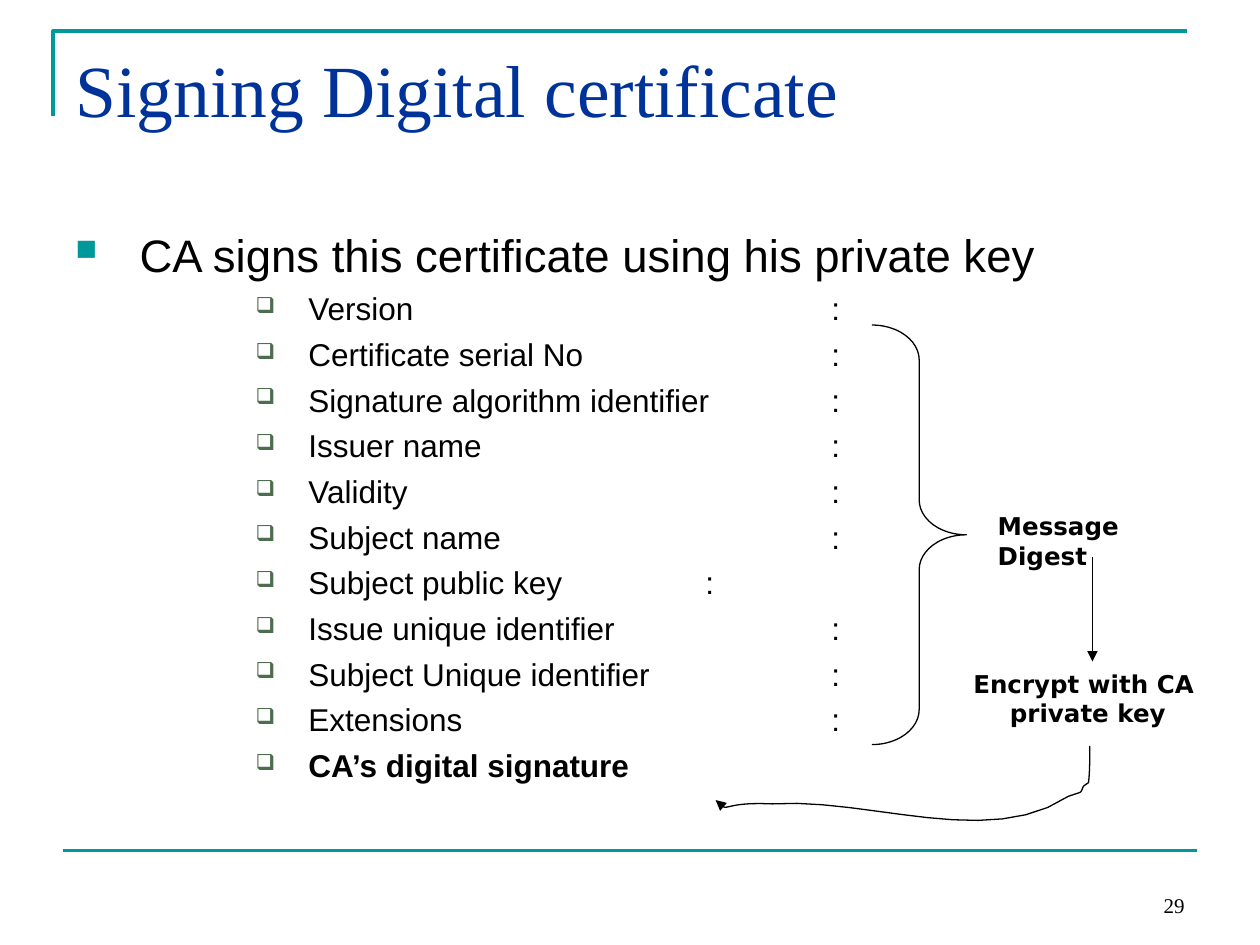
from dataclasses import dataclass
from typing import NamedTuple

from lxml.etree import SubElement
from pptx import Presentation
from pptx.dml.color import RGBColor
from pptx.enum.shapes import MSO_CONNECTOR, MSO_SHAPE
from pptx.enum.text import MSO_ANCHOR, PP_ALIGN
from pptx.oxml.ns import qn
from pptx.util import Inches, Pt


@dataclass(frozen=True)
class Theme:
    teal: str = "009999"
    navy: str = "003399"
    moss: str = "4C6D4E"
    black: str = "000000"
    serif: str = "Times New Roman"
    sans: str = "Arial"
    label: str = "DejaVu Sans"
    title: int = 42
    lead: int = 26
    item: int = 18
    note: int = 14
    page: int = 12
    rule: float = 2.25
    thin: float = 0.75


THEME = Theme()


class Bullet(NamedTuple):
    char: str
    color: str
    size: int
    left: float
    hang: float
    tab: int


class Line(NamedTuple):
    text: str
    size: int
    font: str
    color: str = THEME.black
    bold: bool = False
    align: PP_ALIGN = PP_ALIGN.LEFT
    level: int = 0
    before: float = 0
    bullet: Bullet | None = None


def assign(obj, values: dict) -> None:
    for name, value in values.items():
        setattr(obj, name, value)


def mark(para, bullet: Bullet) -> None:
    """Add the bullet, its hanging indent and one-inch tab stops."""
    props = para._p.get_or_add_pPr()
    props.set("marL", str(Inches(bullet.left)))
    props.set("indent", str(Inches(-bullet.hang)))
    color = SubElement(props, qn("a:buClr"))
    SubElement(color, qn("a:srgbClr"), val=bullet.color)
    SubElement(props, qn("a:buSzPct"), val=str(bullet.size * 1000))
    SubElement(props, qn("a:buChar"), char=bullet.char)
    tabs = SubElement(props, qn("a:tabLst"))
    for stop in range(bullet.tab, bullet.tab + 8):
        SubElement(tabs, qn("a:tab"), pos=str(Inches(stop)), algn="l")


def write(slide, box: tuple, lines: list[Line], anchor=MSO_ANCHOR.TOP) -> None:
    frame = slide.shapes.add_textbox(*map(Inches, box)).text_frame
    assign(frame, {"word_wrap": True, "vertical_anchor": anchor})
    for index, line in enumerate(lines):
        para = frame.add_paragraph() if index else frame.paragraphs[0]
        if line.bullet:
            mark(para, line.bullet)
        assign(para, {"alignment": line.align, "level": line.level})
        if index:
            para.space_before = Pt(line.before)
        run = para.add_run()
        run.text = line.text
        assign(run.font, {"name": line.font, "size": Pt(line.size),
                          "bold": line.bold})
        run.font.color.rgb = RGBColor.from_string(line.color)


def stroke(shape, color: str, width: float, arrow: bool = False) -> None:
    shape.line.color.rgb = RGBColor.from_string(color)
    shape.line.width = Pt(width)
    if arrow:
        SubElement(shape.line._get_or_add_ln(), qn("a:tailEnd"),
                   type="triangle")


def link(slide, start: tuple, end: tuple, color: str, width: float,
         arrow: bool = False) -> None:
    line = slide.shapes.add_connector(
        MSO_CONNECTOR.STRAIGHT, *map(Inches, start + end))
    stroke(line, color, width, arrow)
    SubElement(line._element.spPr, qn("a:effectLst"))


def trace(slide, points: list[tuple], color: str, width: float,
          arrow: bool = False) -> None:
    """Draw an open outline through the points."""
    spots = [(Inches(x), Inches(y)) for x, y in points]
    pen = slide.shapes.build_freeform(*spots[0])
    pen.add_line_segments(spots[1:], close=False)
    shape = pen.convert_to_shape()
    shape.shadow.inherit = False
    shape.fill.background()
    stroke(shape, color, width, arrow)


def bend(knots: list[tuple], steps: int = 12) -> list[tuple]:
    """Sample a chain of cubic curves; each takes three more knots."""
    points = [knots[0]]
    for first in range(0, len(knots) - 1, 3):
        a, b, c, d = knots[first:first + 4]
        for step in range(1, steps + 1):
            t = step / steps
            u = 1 - t
            points.append(tuple(
                u**3 * p + 3 * u * u * t * q + 3 * u * t * t * r + t**3 * s
                for p, q, r, s in zip(a, b, c, d)))
    return points


FIELDS = [
    "Version \t\t\t\t:",
    "Certificate serial No\t\t:",
    "Signature algorithm identifier\t:",
    "Issuer name\t\t\t:",
    "Validity\t\t\t\t:",
    "Subject name\t\t\t:",
    "Subject public key\t\t:",
    "Issue unique identifier\t\t:",
    "Subject Unique identifier\t\t:",
    "Extensions\t\t\t:",
    "CA’s digital signature",
]
RETURN = [
    (8.65, 5.92), (8.65, 6.02), (8.65, 6.11), (8.64, 6.21),
    (8.63, 6.22), (8.61, 6.23), (8.6, 6.24),
    (8.59, 6.25), (8.59, 6.28), (8.57, 6.29),
    (8.54, 6.3), (8.48, 6.32), (8.48, 6.32),
    (7.85, 6.74), (6.9, 6.33), (6.13, 6.38),
    (5.69, 6.36), (5.8, 6.47), (5.68, 6.35),
]


def main() -> None:
    deck = Presentation()
    assign(deck, {"slide_width": Inches(10), "slide_height": Inches(7.5)})
    slide = deck.slides.add_slide(deck.slide_layouts[6])

    # Frame rules and page number
    trace(slide, [(0.42, 0.92), (0.42, 0.25), (9.42, 0.25)],
          THEME.teal, THEME.rule)
    link(slide, (0.5, 6.75), (9.5, 6.75), THEME.teal, THEME.rule)
    write(slide, (7.17, 6.83, 2.33, 0.5),
          [Line("29", THEME.page, THEME.serif, align=PP_ALIGN.RIGHT)],
          MSO_ANCHOR.BOTTOM)

    # Title
    write(slide, (0.5, 0.3, 9, 1.25),
          [Line("Signing Digital certificate", THEME.title, THEME.serif,
                THEME.navy)])

    # Certificate fields
    square = Bullet("■", THEME.teal, 65, 0.51, 0.51, 1)
    check = Bullet("❑", THEME.moss, 70, 1.85, 0.42, 2)
    lead = Line("CA signs this certificate using his private key",
                THEME.lead, THEME.sans, bullet=square)
    items = [Line(text, THEME.item, THEME.sans, bold=text == FIELDS[-1],
                  level=3, before=4.5, bullet=check) for text in FIELDS]
    write(slide, (0.5, 1.75, 9, 4.95), [lead, *items])

    # Brace around the signed fields
    brace = slide.shapes.add_shape(
        MSO_SHAPE.RIGHT_BRACE, *map(Inches, (6.92, 2.58, 0.75, 3.33)))
    brace.adjustments[0] = 0.37
    brace.shadow.inherit = False
    brace.fill.background()
    stroke(brace, THEME.black, THEME.thin)

    # Signing steps
    write(slide, (7.82, 4.01, 1.72, 0.34),
          [Line("Message Digest", THEME.note, THEME.label, bold=True)])
    link(slide, (8.67, 4.42), (8.67, 5.25), THEME.black, THEME.thin, True)
    write(slide, (7.5, 5.26, 2.27, 0.57),
          [Line(text, THEME.note, THEME.label, bold=True,
                align=PP_ALIGN.CENTER)
           for text in ("Encrypt with CA ", "private key")])
    trace(slide, bend(RETURN), THEME.black, THEME.thin, True)

    deck.save("out.pptx")


if __name__ == "__main__":
    main()
